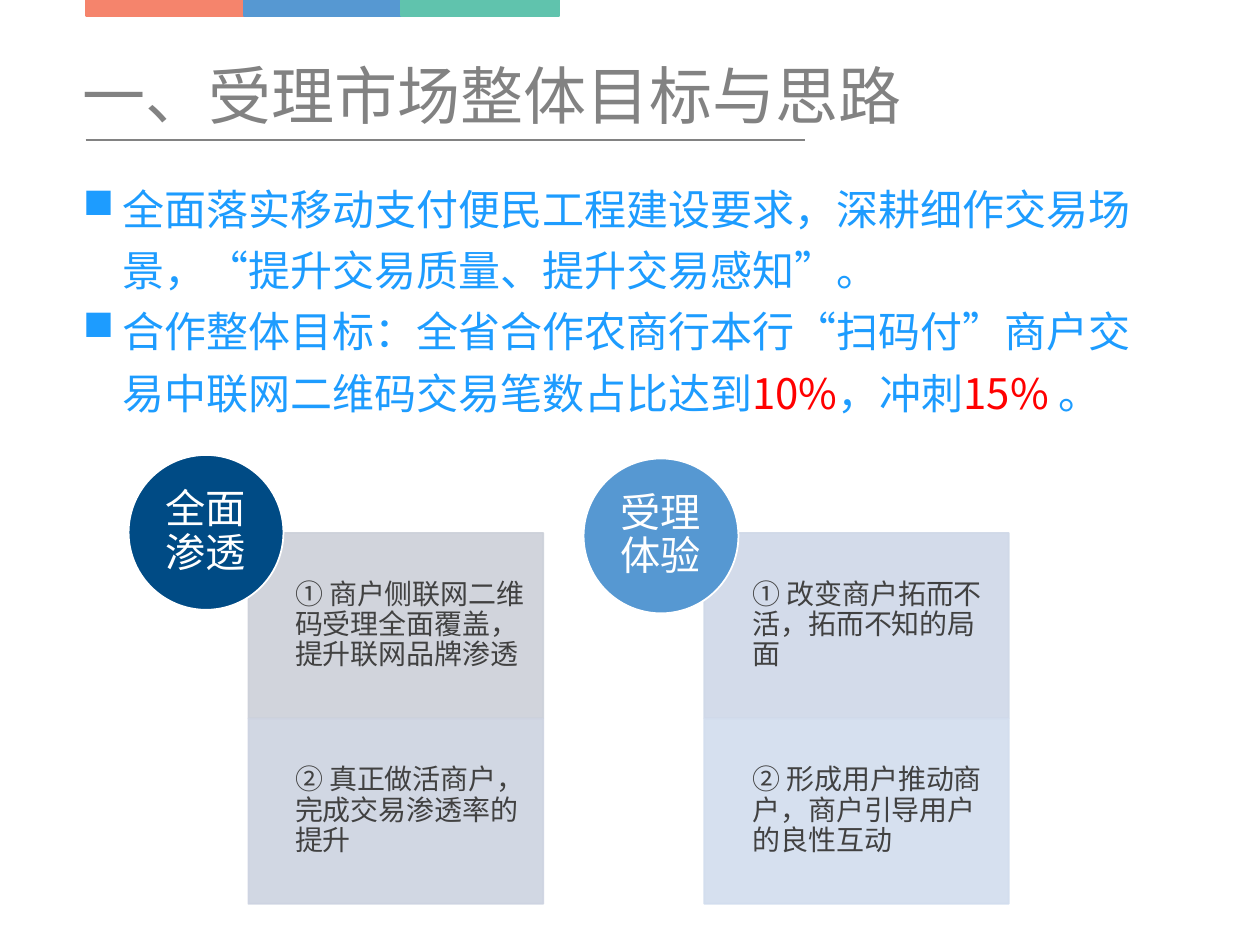
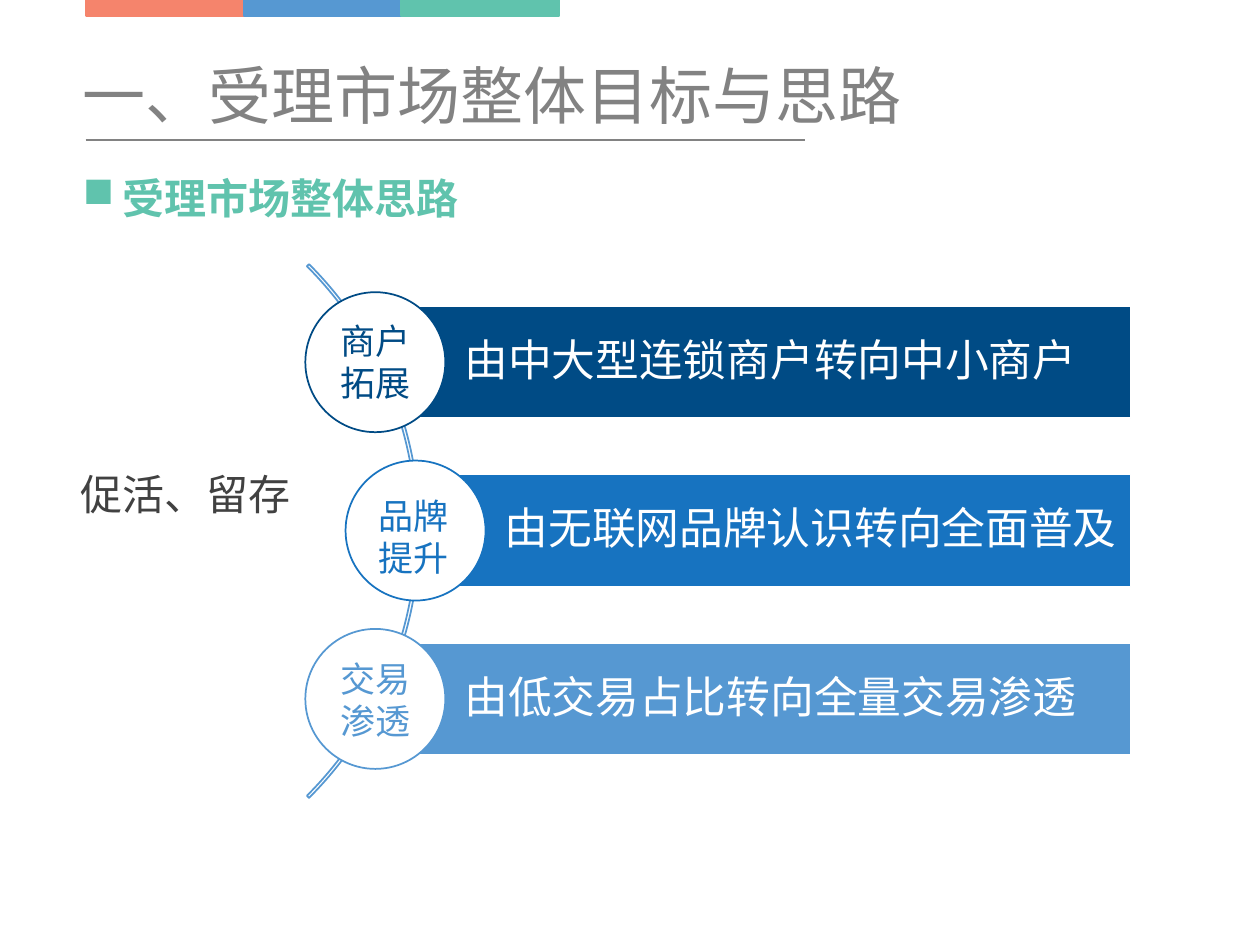
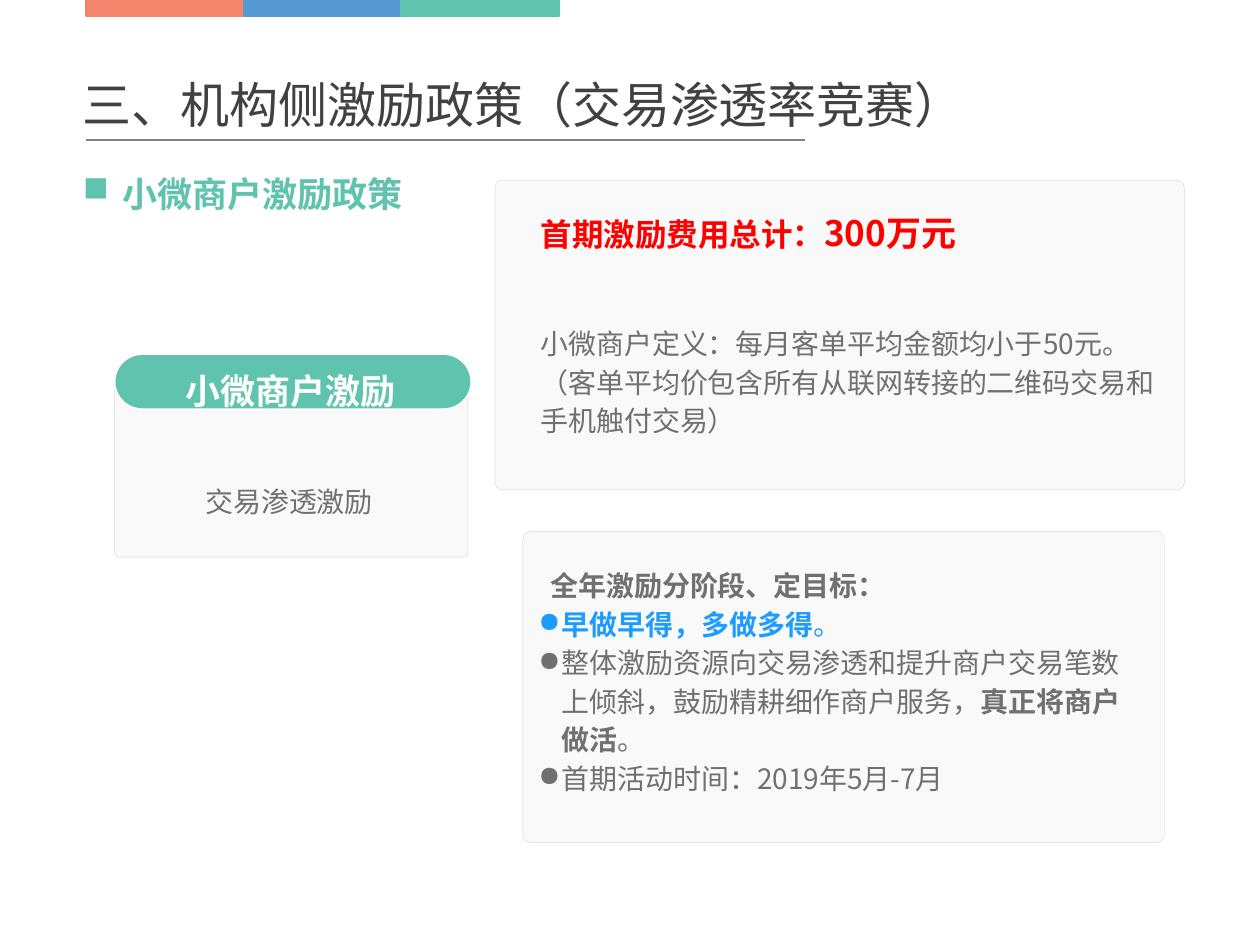
from dataclasses import dataclass, field

from lxml import etree
from pptx import Presentation
from pptx.dml import color as dml
from pptx.enum import shapes, text
from pptx.oxml import ns
from pptx.util import Pt


@dataclass(frozen=True)
class Theme:
    font: str = "Noto Sans CJK SC"
    white: str = "FFFFFF"
    grey: str = "828282"
    dark: str = "414141"
    body: str = "707070"
    panel: str = "F2F2F2"
    panel_edge: str = "D9D9D9"
    coral: str = "F5846C"
    blue: str = "5698D2"
    mid_blue: str = "1773C0"
    navy: str = "004B85"
    green: str = "60C3AD"
    bright: str = "1D9CFF"
    red: str = "FF0000"
    title: int = 36
    long_title: int = 28
    bar: int = 25
    lead: int = 24
    circle: int = 23
    label: int = 20
    total: int = 18
    small: int = 16


T = Theme()
TEXT_INSET = (7.2, 3.6, 7.2, 3.6)
TIGHT_INSET = (4.3, 2.2, 4.3, 2.2)
NO_INSET = (0, 0, 0, 0)
MIDDLE = text.MSO_ANCHOR.MIDDLE
CENTER = text.PP_ALIGN.CENTER
SHAPE = shapes.MSO_SHAPE


@dataclass
class Para:
    runs: list
    bullet: str = ""
    margin: float = 0
    layout: dict = field(default_factory=dict)


def style(size, color, bold=False):
    return {"size": Pt(size), "bold": bold, "color": color}


def points(*lengths):
    return [Pt(length) for length in lengths]


def indent(paragraph, para):
    properties = paragraph._p.get_or_add_pPr()
    properties.set("marL", str(Pt(para.margin)))
    if para.bullet:
        properties.set("indent", str(-Pt(para.margin)))
        etree.SubElement(properties, ns.qn("a:buChar"), char=para.bullet)


def add_run(paragraph, words, look):
    run = paragraph.add_run()
    run.text = words
    font = run.font
    font.color.rgb = dml.RGBColor.from_string(look["color"])
    for name in ("size", "bold"):
        setattr(font, name, look[name])
    font.name = T.font
    etree.SubElement(run._r.get_or_add_rPr(), ns.qn("a:ea"), typeface=T.font)


def write(shape, paras, inset=TEXT_INSET, anchor=text.MSO_ANCHOR.TOP, wrap=True):
    frame = shape.text_frame
    frame.word_wrap = wrap
    frame.vertical_anchor = anchor
    for side, length in zip(("left", "top", "right", "bottom"), inset):
        setattr(frame, f"margin_{side}", Pt(length))
    for position, para in enumerate(paras):
        paragraph = frame.add_paragraph() if position else frame.paragraphs[0]
        indent(paragraph, para)
        layout = {"alignment": text.PP_ALIGN.LEFT, **para.layout}
        for name, value in layout.items():
            setattr(paragraph, name, value)
        for words, look in para.runs:
            add_run(paragraph, words, look)


def add_text(slide, box, paras, **options):
    write(slide.shapes.add_textbox(*points(*box)), paras, **options)


def set_opacity(element, percent):
    for color in element.iter(ns.qn("a:srgbClr")):
        etree.SubElement(color, ns.qn("a:alpha"), val=str(percent * 1000))


def draw(slide, kind, box, fill, edge, width=1.0, opacity=100, edge_opacity=100):
    shape = slide.shapes.add_shape(kind, *points(*box))
    shape.shadow.inherit = False
    if fill:
        shape.fill.solid()
        shape.fill.fore_color.rgb = dml.RGBColor.from_string(fill)
        if opacity < 100:
            set_opacity(shape._element.spPr, opacity)
    else:
        shape.fill.background()
    shape.line.color.rgb = dml.RGBColor.from_string(edge)
    shape.line.width = Pt(width)
    if edge_opacity < 100:
        set_opacity(shape.line._ln, edge_opacity)
    return shape


def header(slide, title, box=(40.3, 14.4, 620.6, 85), look=style(T.title, T.grey), spacing=0.9):
    rule = slide.shapes.add_connector(shapes.MSO_CONNECTOR.STRAIGHT, *points(49, 80, 460, 80))
    rule.line.color.rgb = dml.RGBColor.from_string(T.grey)
    rule.line.width = Pt(0.75)
    etree.SubElement(rule._element.spPr, ns.qn("a:effectLst"))
    for column, color in enumerate((T.coral, T.blue, T.green)):
        draw(slide, SHAPE.RECTANGLE, (49.5 + 90 * column, 0, 90, 9.2), color, color, 1.5)
    add_text(slide, box, [Para([(title, look)], layout={"line_spacing": spacing})], anchor=MIDDLE)


def section(slide, words, size):
    heading = Para([(words, style(size, T.green, True))], "■", 22.5)
    add_text(slide, (40.3, 95, 458.6, 36), [heading])


def goals(slide, box):
    blue, red = style(T.lead, T.bright), style(T.lead, T.red)
    layout = {"line_spacing": Pt(35)}
    add_text(slide, box, [
        Para([("全面落实移动支付便民工程建设要求，深耕细作交易场景，“提升交易质量、提升交易感知”。", blue)],
             "■", 22.5, layout),
        Para([("合作整体目标：全省合作农商行本行“扫码付”商户交易中联网二维码交易笔数占比达到", blue),
              ("10%", red), ("，冲刺", blue), ("15% ", red), ("。", blue)],
             "■", 22.5, layout),
    ])


def pillar(slide, box, circle_offset, name, color, cards):
    left, top, width, height = box
    card_height = height / len(cards)
    layout = {"line_spacing": 0.9}
    for row, (words, tint) in enumerate(cards):
        card = draw(slide, SHAPE.RECTANGLE, (left, top + row * card_height, width, card_height),
                    tint, tint, opacity=90, edge_opacity=90)
        write(card, [Para([(words, style(T.small, T.dark))], layout=layout)],
              (0.158 * width, 8.6, 8.6, 8.6), MIDDLE)
    dx, dy = circle_offset
    circle = draw(slide, SHAPE.OVAL, (left + dx, top + dy, 88.5, 88.5), color, T.white)
    write(circle, [Para([(name, style(T.circle, T.white))],
                        layout={**layout, "alignment": CENTER})], NO_INSET, MIDDLE)


def shift(slide, box, color, label, label_offset, words):
    left, top, width, height = box
    bar = draw(slide, SHAPE.RECTANGLE, box, color, T.white)
    write(bar, [Para([(words, style(T.bar, T.white))], layout={"line_spacing": 0.9})],
          (51, 5, 5, 5), MIDDLE)
    circle_left, circle_top = left - 40, top - 8
    draw(slide, SHAPE.OVAL, (circle_left, circle_top, 80, 80), T.white, color)
    dx, dy = label_offset
    add_text(slide, (circle_left + dx, circle_top + dy, 60, 55.5),
             [Para([(line, style(T.label, color))]) for line in label])


def shifts(slide, box):
    left, top, width, height = box
    arc = draw(slide, SHAPE.BLOCK_ARC, (-191.5, 87.8, 431.3, 431.3), None, T.blue)
    for position, value in enumerate((189, 27, 0.004)):
        arc.adjustments[position] = value
    rows = [
        (0, T.navy, ["商户", "拓展"], (13, 12), "由中大型连锁商户转向中小商户"),
        (23, T.mid_blue, ["品牌提升"], (11.5, 16), "由无联网品牌认识转向全面普及"),
        (0, T.blue, ["交易渗透"], (13, 13), "由低交易占比转向全量交易渗透"),
    ]
    bar_height = 64
    pitch = (height - bar_height) / (len(rows) - 1)
    for row, (inward, *content) in enumerate(rows):
        shift(slide, (left + inward, top + row * pitch, width - inward, bar_height), *content)


def panel(slide, box):
    card = draw(slide, SHAPE.ROUNDED_RECTANGLE, box, T.panel, T.panel_edge, 0.25, opacity=40)
    card.adjustments[0] = 0.024


def incentive(slide, box):
    left, top, width, height = box
    panel(slide, (left, top + 18, width - 2, height - 18))
    pill = draw(slide, SHAPE.ROUNDED_RECTANGLE, (left, top, width, 31.5), T.green, T.white)
    pill.adjustments[0] = 0.5
    add_text(slide, (left + 40.3, top + 8.6, 129, 42.5),
             [Para([("小微商户激励", style(T.label, T.white, True))])], inset=NO_INSET, wrap=False)
    add_text(slide, (left + 1.5, top + 62.6, 196.5, 30),
             [Para([("交易渗透激励", style(T.small, T.body))],
                   layout={"alignment": CENTER, "line_spacing": 1.5})], inset=TIGHT_INSET)


def stages(slide, box):
    left, top, width, height = box
    panel(slide, box)
    plain, strong = style(T.small, T.body), style(T.small, T.body, True)
    layout = {"line_spacing": Pt(22)}
    bullets = [
        [("早做早得，多做多得", style(T.small, T.bright, True)), ("。", style(T.small, T.bright))],
        [("整体激励资源向交易渗透和提升商户交易笔数上倾斜，鼓励精耕细作商户服务，", plain),
         ("真正将商户做活", strong), ("。", plain)],
        [("首期活动时间：2019年5月-7月", plain)],
    ]
    heading = Para([("全年激励分阶段、定目标：", strong)], margin=7, layout={"line_spacing": 1.5})
    add_text(slide, (left + 4.5, top + 9.4, 356.4, 205),
             [heading] + [Para(runs, "●", 13.5, layout) for runs in bullets], inset=TIGHT_INSET)


def budget(slide, box):
    left, top, width, height = box
    panel(slide, box)
    add_text(slide, (left + 21.6, top + 3.6, 360.7, 132.5), [
        Para([("首期激励费用总计：", style(T.total, T.red, True)),
              ("300万元", style(T.label, T.red, True))], layout={"line_spacing": 1.5}),
        Para([("小微商户定义：每月客单平均金额均小于50元。（客单平均价包含所有从联网转接的二维码交易和手机触付交易）",
               style(T.small, T.body))],
             layout={"line_spacing": Pt(22), "space_before": Pt(39)}),
    ], inset=TIGHT_INSET)


def goals_slide(slide):
    header(slide, "一、受理市场整体目标与思路")
    goals(slide, (40.3, 95, 631.4, 145.5))
    pillar(slide, (142, 304.5, 168.5, 212), (-68.5, -44.5), "全面渗透", T.navy, [
        ("① 商户侧联网二维码受理全面覆盖，提升联网品牌渗透", "CCD0D9"),
        ("② 真正做活商户，完成交易渗透率的提升", "CDD3E1"),
    ])
    pillar(slide, (402.5, 304.5, 174, 212), (-69, -42.5), "受理体验", T.blue, [
        ("① 改变商户拓而不活，拓而不知的局面", "CFD8E8"),
        ("② 形成用户推动商户，商户引导用户的良性互动", "D2DDEE"),
    ])


def approach_slide(slide):
    header(slide, "一、受理市场整体目标与思路")
    section(slide, "受理市场整体思路", T.lead)
    shifts(slide, (214.5, 175, 431.5, 256.4))
    add_text(slide, (36.7, 264.2, 139, 65.5),
             [Para([("促活、留存", style(T.lead, T.dark))], layout={"alignment": CENTER})])


def policy_slide(slide):
    header(slide, "三、机构侧激励政策（交易渗透率竞赛）", (40.3, 0, 719, 85),
           style(T.long_title, T.dark), 2.0)
    incentive(slide, (65.5, 202.3, 203.8, 116))
    section(slide, "小微商户激励政策", T.label)
    stages(slide, (298.8, 303.8, 366.5, 177.8))
    budget(slide, (283, 103, 393.8, 177))


def main():
    deck = Presentation()
    deck.slide_width, deck.slide_height = points(720, 540)
    for build in (goals_slide, approach_slide, policy_slide):
        build(deck.slides.add_slide(deck.slide_layouts[6]))
    deck.save("out.pptx")


if __name__ == "__main__":
    main()
